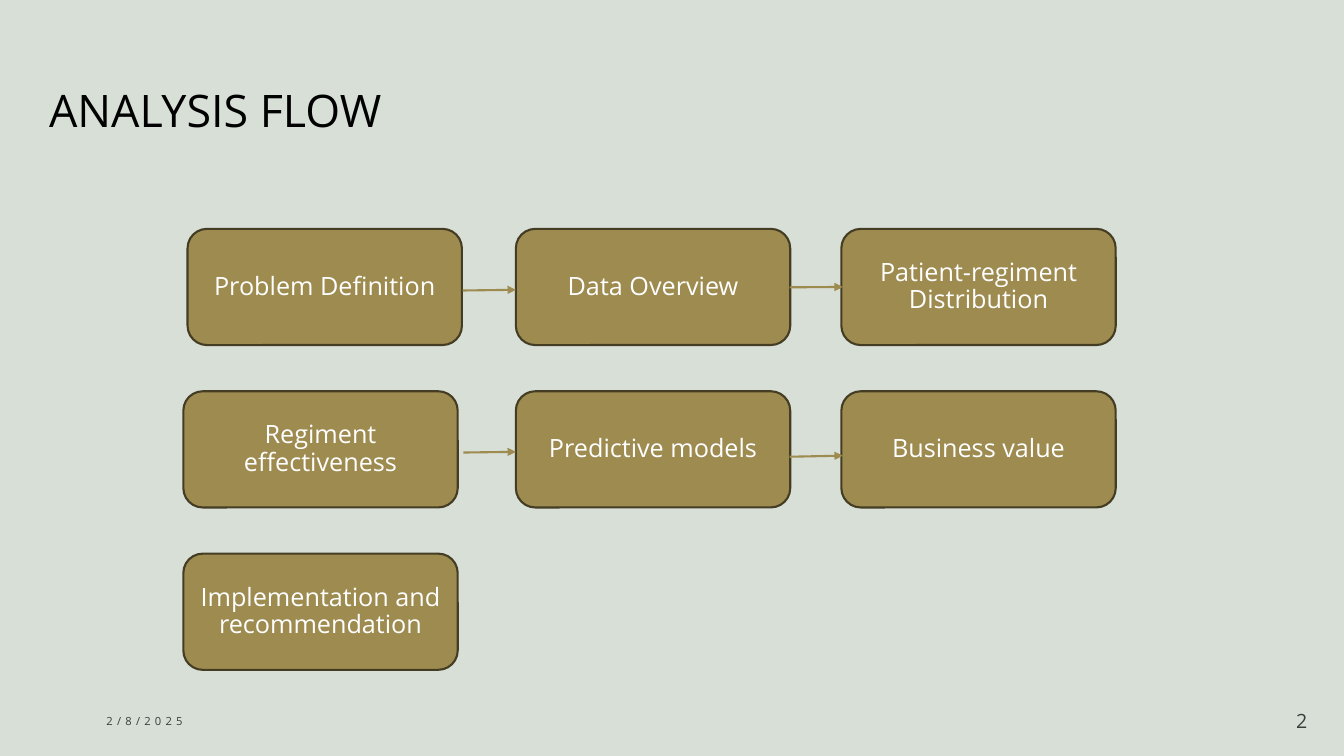
from dataclasses import dataclass

from lxml import etree
from pptx import Presentation
from pptx.dml.color import RGBColor
from pptx.enum import shapes, text
from pptx.oxml import ns
from pptx.util import Pt


@dataclass(frozen=True)
class Theme:
    font: str = "Open Sans"
    background: str = "DCE7E0"
    veil: str = "C0B7A5"
    title: str = "000000"
    footer: str = "35403A"
    box: str = "9E8B50"
    box_line: str = "453D23"
    box_text: str = "FFFFFF"
    title_size: float = 32
    box_size: float = 18
    number_size: float = 14
    date_size: float = 8
    line_width: float = 1.5


THEME = Theme()
PAGE_WIDTH, PAGE_HEIGHT = 960, 540

# Flow grid
BOX_WIDTH, BOX_HEIGHT = 196, 83
COLUMNS = (131, 368.5, 601)
TOP, ROW_PITCH = 163.5, 116
FIRST_BOX_SHIFT = 3
STEPS = (
    ("Problem Definition", "Data Overview", "Patient-regiment Distribution"),
    ("Regiment effectiveness", "Predictive models", "Business value"),
    ("Implementation and recommendation",),
)
ARROWS = (  # start x, start y, end x, end y
    (330.5, 207.5, 368.5, 207),
    (564, 205.25, 602, 205),
    (331, 323.25, 368.5, 322.75),
    (564, 326.25, 602, 325.5),
)


def apply(target, values):
    for name, value in values.items():
        setattr(target, name, value)


def paint(fill, colour):
    fill.solid()
    fill.fore_color.rgb = RGBColor.from_string(colour)


def write(shape, words, size, colour, frame_format, para_format):
    frame = shape.text_frame
    apply(frame, {"word_wrap": True, **frame_format})
    para = frame.paragraphs[0]
    apply(para, para_format)
    span = para.add_run()
    span.text = words
    apply(span.font, {"name": THEME.font, "size": Pt(size)})
    span.font.color.rgb = RGBColor.from_string(colour)
    return span


def add_label(page, place, words, size, colour, frame_format, para_format):
    box = page.shapes.add_textbox(*map(Pt, place))
    return write(box, words, size, colour, frame_format, para_format)


def add_veil(page):
    veil = page.shapes.add_shape(
        shapes.MSO_SHAPE.RECTANGLE, 0, 0, Pt(PAGE_WIDTH), Pt(PAGE_HEIGHT))
    veil.shadow.inherit = False
    veil.line.fill.background()
    paint(veil.fill, THEME.veil)
    colour = veil.fill._xPr.find(".//" + ns.qn("a:srgbClr"))
    etree.SubElement(colour, ns.qn("a:alpha"), val="15000")


def add_step(page, left, top, words):
    box = page.shapes.add_shape(
        shapes.MSO_SHAPE.ROUNDED_RECTANGLE,
        *map(Pt, (left, top, BOX_WIDTH, BOX_HEIGHT)))
    box.shadow.inherit = False
    paint(box.fill, THEME.box)
    paint(box.line.fill, THEME.box_line)
    box.line.width = Pt(THEME.line_width)
    write(box, words, THEME.box_size, THEME.box_text,
          {"vertical_anchor": text.MSO_ANCHOR.MIDDLE},
          {"alignment": text.PP_ALIGN.CENTER, "line_spacing": 0.9})


def add_arrow(page, ends):
    arrow = page.shapes.add_connector(
        shapes.MSO_CONNECTOR.STRAIGHT, *map(Pt, ends))
    paint(arrow.line.fill, THEME.box)
    arrow.line.width = Pt(THEME.line_width)
    etree.SubElement(arrow.line._get_or_add_ln(), ns.qn("a:tailEnd"),
                     type="triangle")
    etree.SubElement(arrow._element.spPr, ns.qn("a:effectLst"))


def main():
    deck = Presentation()
    apply(deck, {"slide_width": Pt(PAGE_WIDTH), "slide_height": Pt(PAGE_HEIGHT)})
    page = deck.slides.add_slide(deck.slide_layouts[6])

    # Background
    paint(page.background.fill, THEME.background)
    add_veil(page)

    # Footer: date and page number
    middle = {"vertical_anchor": text.MSO_ANCHOR.MIDDLE}
    date = add_label(page, (69, 500.5, 216, 29), "2/8/2025", THEME.date_size,
                     THEME.footer, middle, {"space_after": Pt(6)})
    date.font._element.set("spc", "300")
    add_label(page, (900, 500.5, 41, 29), "2", THEME.number_size, THEME.footer,
              middle, {"alignment": text.PP_ALIGN.RIGHT, "space_after": Pt(6)})

    # Title
    add_label(page, (28, 23, 676, 75), "ANALYSIS FLOW", THEME.title_size,
              THEME.title,
              {"vertical_anchor": text.MSO_ANCHOR.BOTTOM, "margin_bottom": 0},
              {"line_spacing": 0.9})

    # Steps and arrows
    for row, steps in enumerate(STEPS):
        for column, words in enumerate(steps):
            shift = FIRST_BOX_SHIFT if row == column == 0 else 0
            add_step(page, COLUMNS[column] + shift, TOP + row * ROW_PITCH, words)
    for ends in ARROWS:
        add_arrow(page, ends)

    deck.save("out.pptx")


if __name__ == "__main__":
    main()
